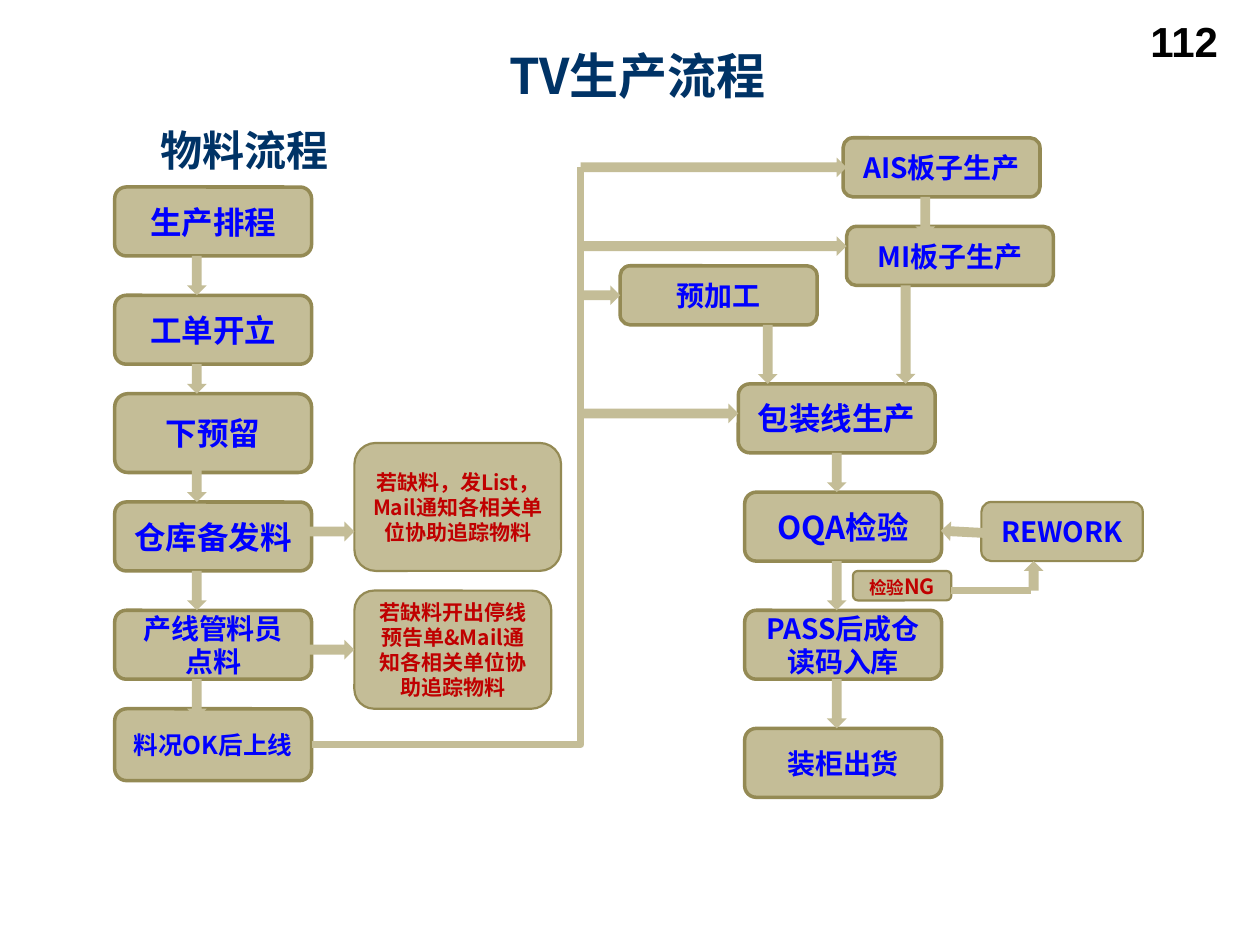
import pptx
import pptx.util
import pptx.dml.color
import pptx.enum.shapes
import pptx.enum.text
import pptx.oxml.ns
import lxml.etree

MSO = pptx.enum.shapes.MSO_SHAPE
CONN = pptx.enum.shapes.MSO_CONNECTOR
ALIGN = pptx.enum.text.PP_ALIGN
ANCHOR = pptx.enum.text.MSO_ANCHOR
Pt = pptx.util.Pt

COLORS = dict(fill="C4BD97", edge="948A54", step="0000FF", note="C00000",
              heading="003366", number="000000")
CJK = "Noto Sans CJK SC"
COLUMNS = 128  # square grid cells across the slide
LEFT, RIGHT, SPINE = 11.65, 75.65, 59  # columns of both flows and the supply line

# text, column, row, width, height, size
STEPS = [
    ("生产排程", LEFT, 19, 20, 7, 18),
    ("工单开立", LEFT, 30, 20, 7, 18),
    ("下预留", LEFT, 40, 20, 8, 18),
    ("仓库备发料", LEFT, 51, 20, 7, 18),
    ("产线管料员点料", LEFT, 62, 20, 7, 16),
    ("料况OK后上线", LEFT, 72, 20, 7.3, 14),
    ("AIS板子生产", RIGHT + 10, 14, 20, 6, 16),
    ("MI板子生产", 86, 23, 21, 6, 16),
    ("预加工", 63, 27, 20, 6, 16),
    ("包装线生产", 75, 39, 20, 7, 18),
    ("OQA检验", RIGHT, 50, 20, 7, 18),
    ("PASS后成仓读码入库", RIGHT, 62, 20, 7, 16),
    ("装柜出货", RIGHT, 74, 20, 7, 16),
]
REWORK = ("REWORK", 99.7, 51, 16.4, 6, 16)
NOTES = [
    ("若缺料，发List， Mail通知各相关单位协助追踪物料", 36, 45, 21, 13, 12),
    ("若缺料开出停线预告单&Mail通知各相关单位协助追踪物料", 36, 60, 20, 12, 12),
    ([("检验", 10), ("NG", 12)], RIGHT + 11, 58, 10, 3, 12),
]
# column, row, length
DOWN = [(19, 26, 4), (19, 37, 3), (19, 47, 4), (19, 58, 4), (19, 69, 4),
        (93, 20, 4), (77, 33, 6), (91, 29, 10),
        (84, 46, 4), (84, 57, 5), (84, 69, 5)]
ACROSS = [(31, 53, 5), (31, 65, 5), (SPINE, 16, 27), (SPINE, 24, 27),
          (SPINE, 29, 4), (SPINE, 41, 16)]
THICK = 2

prs = pptx.Presentation()
prs.slide_width, prs.slide_height = pptx.util.Inches(10), pptx.util.Inches(7.5)
slide = prs.slides.add_slide(prs.slide_layouts[5])
shapes = slide.shapes


def grid(*cells):
    return [round(c * prs.slide_width / COLUMNS) for c in cells]


def rgb(name):
    return pptx.dml.color.RGBColor.from_string(COLORS[name])


def write(sp, text, size, color, font=CJK, align=ALIGN.CENTER, anchor=ANCHOR.TOP):
    """Fill sp with bold text, a string or a list of (run, size) pairs."""
    tf = sp.text_frame
    tf.word_wrap = True
    tf.auto_size = pptx.enum.text.MSO_AUTO_SIZE.NONE
    tf.vertical_anchor = anchor
    p = tf.paragraphs[0]
    p.alignment = align
    for part, part_size in [(text, size)] if isinstance(text, str) else text:
        r = p.add_run()
        r.text = part
        r.font.size, r.font.bold, r.font.name = Pt(part_size), True, font
        r.font.color.rgb = rgb(color)
        ea = lxml.etree.SubElement(r.font._element, pptx.oxml.ns.qn("a:ea"))
        ea.set("typeface", font)


def box(text, x, y, w, h, size, color="step", edge=2):
    sp = shapes.add_shape(MSO.ROUNDED_RECTANGLE, *grid(x, y, w, h))
    sp.shadow.inherit = False
    sp.fill.solid()
    sp.fill.fore_color.rgb = rgb("fill")
    sp.line.color.rgb = rgb("edge")
    sp.line.width = Pt(edge)
    write(sp, text, size, color, anchor=ANCHOR.MIDDLE)


def arrow(kind, x, y, w, h, rotation=0):
    sp = shapes.add_shape(kind, *grid(x, y, w, h))
    sp.shadow.inherit = False
    sp.fill.solid()
    sp.fill.fore_color.rgb = rgb("fill")
    sp.line.fill.background()
    sp.rotation = rotation


def connector(kind, x1, y1, x2, y2):
    cx = shapes.add_connector(kind, *grid(x1, y1, x2, y2))
    cx.line.color.rgb = rgb("fill")
    cx.line.width = Pt(4)
    lxml.etree.SubElement(cx._element.spPr, pptx.oxml.ns.qn("a:effectLst"))
    return cx


def place(sp, x, y, w, h):
    sp.left, sp.top, sp.width, sp.height = grid(x, y, w, h)


title = shapes.title
place(title, 50, 4, 29.5, 7.3)
write(title, "TV生产流程", 28, "heading")
material = shapes.add_textbox(*grid(15, 12, 34, 6.4))
write(material, "物料流程", 24, "heading", align=ALIGN.LEFT)
number = shapes.add_textbox(*grid(95.2, 1, 29.8, 6.7))
write(number, "112", 24, "number", font="Arial", align=ALIGN.RIGHT)

for step in STEPS:
    box(*step)
box(*REWORK, edge=1.25)
for note in NOTES:
    box(*note, color="note", edge=1.25)

supply = connector(CONN.ELBOW, LEFT + 20, 75.65, SPINE, 17)
supply._element.spPr.find(pptx.oxml.ns.qn("a:prstGeom")).set("prst", "bentConnector2")
connector(CONN.STRAIGHT, RIGHT + 21, 60, 104.7, 60)

for x, y, length in DOWN:
    arrow(MSO.DOWN_ARROW, x, y, THICK, length)
for x, y, length in ACROSS:
    arrow(MSO.RIGHT_ARROW, x, y, length, THICK)
arrow(MSO.UP_ARROW, 104, 57, THICK, 3)
arrow(MSO.UP_ARROW, 96.75, 51.85, THICK, 4.35, rotation=273)

prs.save("out.pptx")
